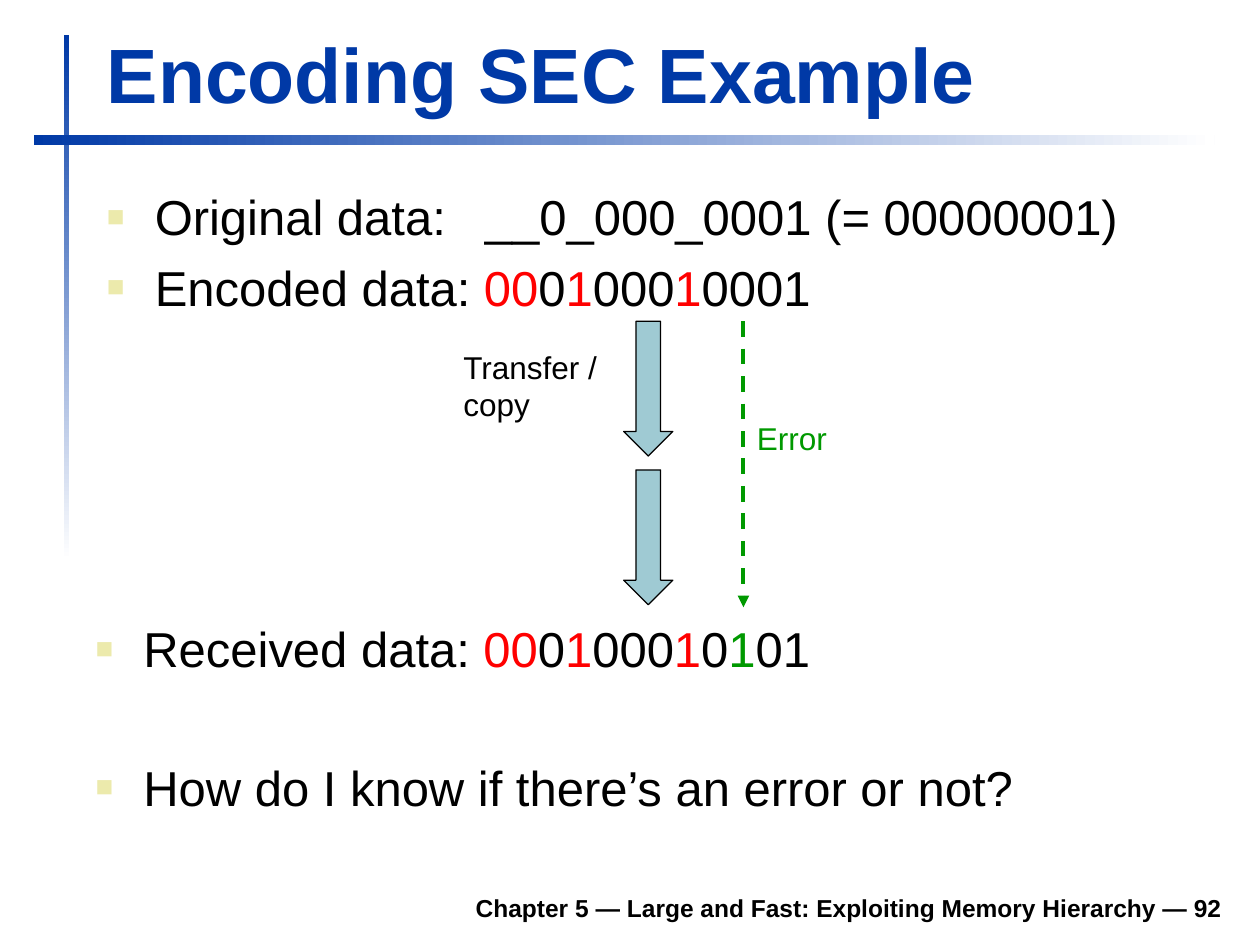
from itertools import groupby
from lxml.etree import SubElement
from pptx import Presentation
from pptx.dml.color import RGBColor
from pptx.enum.dml import MSO_LINE
from pptx.enum.shapes import MSO_CONNECTOR, MSO_SHAPE
from pptx.enum.text import MSO_ANCHOR, PP_ALIGN
from pptx.oxml.ns import qn
from pptx.util import Inches, Pt

BLUE, BLACK, RED, GREEN = "0039A6", "000000", "FF0000", "009900"
TEAL, CREAM, WHITE = "9FCAD3", "ECEAAC", "FFFFFF"

deck = Presentation()
deck.slide_width, deck.slide_height = Inches(10), Inches(7.5)
column, row = deck.slide_width / 100, deck.slide_height / 75
slide = deck.slides.add_slide(deck.slide_layouts[6])
shapes = slide.shapes


def color(hex_value):
    return RGBColor.from_string(hex_value)


def write(area, lines, size, hue=BLACK, bold=False, bulleted=False, gap=0,
          align=PP_ALIGN.LEFT, anchor=MSO_ANCHOR.TOP):
    left, top, width, height = area
    frame = shapes.add_textbox(int(left * column), int(top * row),
                               int(width * column), int(height * row)).text_frame
    frame.word_wrap = True
    frame.vertical_anchor = anchor
    for index, pieces in enumerate(lines):
        paragraph = frame.paragraphs[0] if index == 0 else frame.add_paragraph()
        paragraph.alignment = align
        if index:
            paragraph.space_before = Pt(gap)
        if bulleted:
            frame.margin_top = Inches(0.09)
            props = paragraph._p.get_or_add_pPr()
            props.set("marL", str(Inches(0.38)))
            props.set("indent", str(-Inches(0.38)))
            bullet_color = SubElement(props, qn("a:buClr"))
            SubElement(bullet_color, qn("a:srgbClr"), val=CREAM)
            SubElement(props, qn("a:buSzPct"), val="60000")
            SubElement(props, qn("a:buFont"), typeface="Arial")
            SubElement(props, qn("a:buChar"), char="■")
            if any("\t" in text for text, _ in pieces):
                stops = SubElement(props, qn("a:tabLst"))
                SubElement(stops, qn("a:tab"), pos=str(Inches(3)), algn="l")
        paragraph.font.name = "Arial"
        paragraph.font.size = Pt(size)
        paragraph.font.bold = bold
        paragraph.font.color.rgb = color(hue)
        for text, accent in pieces:
            run = paragraph.add_run()
            run.text = text
            if accent:
                run.font.color.rgb = color(accent)


def codeword(label, bits, wrong=None):
    hues = {1: RED, 2: RED, 4: RED, 8: RED, wrong: GREEN}
    marked = [(bit, hues.get(place)) for place, bit in enumerate(bits, 1)]
    groups = groupby(marked, key=lambda pair: pair[1])
    return [(label, None)] + [("".join(bit for bit, _ in group), hue)
                              for hue, group in groups]


for left, top, width, height, angle in [(5.1, 2.8, 0.4, 41.7, 270),
                                        (2.7, 10.7, 93.7, 0.8, 0)]:
    rule = shapes.add_shape(MSO_SHAPE.RECTANGLE, int(left * column), int(top * row),
                            int(width * column), int(height * row))
    rule.shadow.inherit = False
    rule.line.fill.background()
    rule.fill.gradient()
    rule.fill.gradient_angle = angle
    for stop, hue, position in zip(rule.fill.gradient_stops, (BLUE, WHITE), (0, 1)):
        stop.color.rgb = color(hue)
        stop.position = position

write((7.5, 1.5, 90.3, 8.4), [[("Encoding SEC Example", None)]], 44, BLUE, True,
      anchor=MSO_ANCHOR.BOTTOM)
write((7.5, 13.9, 90.5, 12.6),
      [[("Original data:\t__0_000_0001 (= 00000001)", None)],
       codeword("Encoded data: ", "000100010001")], 28, bulleted=True, gap=6.7)
write((18.5, 69.8, 79.5, 3.9),
      [[("Chapter 5 — Large and Fast: Exploiting Memory Hierarchy — 92", None)]],
      14, bold=True, align=PP_ALIGN.RIGHT, anchor=MSO_ANCHOR.BOTTOM)

for top in (25.5, 37.3):
    transfer = shapes.add_shape(MSO_SHAPE.DOWN_ARROW, int(49.5 * column), int(top * row),
                                int(3.9 * column), int(10.7 * row))
    transfer.shadow.inherit = False
    transfer.fill.solid()
    transfer.fill.fore_color.rgb = color(TEAL)
    transfer.line.color.rgb = color(BLACK)
    transfer.line.width = Pt(0.75)

write((6.6, 48.2, 77.2, 16.1),
      [codeword("Received data: ", "000100010101", wrong=10),
       [("How do I know if there’s an error or not?", None)]],
      28, bulleted=True, gap=45.6)

error = shapes.add_connector(MSO_CONNECTOR.STRAIGHT, int(59 * column), int(25.5 * row),
                             int(59 * column), int(48.2 * row))
error.line.color.rgb = color(GREEN)
error.line.width = Pt(2.25)
error.line.dash_style = MSO_LINE.DASH
SubElement(error.line._get_or_add_ln(), qn("a:tailEnd"), type="triangle")
SubElement(error._element.spPr, qn("a:effectLst"))

write((59.1, 32.8, 8.7, 4), [[("Error", None)]], 18, GREEN)
write((35.8, 27.1, 13, 7.1), [[("Transfer / copy", None)]], 18)

deck.save("out.pptx")
